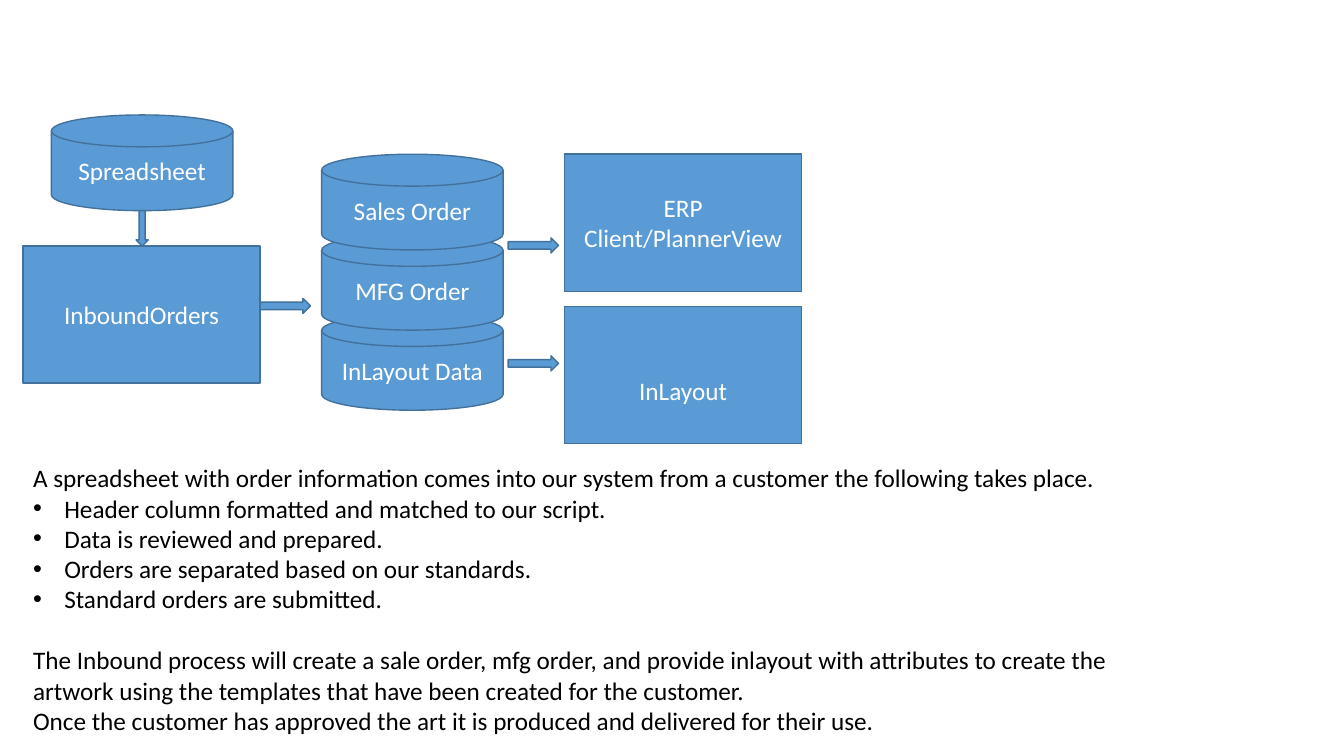
from pptx import Presentation
from pptx.dml.color import RGBColor
from pptx.enum import shapes, text
from pptx.oxml import parse_xml
from pptx.oxml.ns import nsdecls
from pptx.util import Inches, Pt

DISK = shapes.MSO_SHAPE.FLOWCHART_MAGNETIC_DISK
PROCESS = shapes.MSO_SHAPE.FLOWCHART_PROCESS
RIGHT = shapes.MSO_SHAPE.RIGHT_ARROW
DOWN = shapes.MSO_SHAPE.DOWN_ARROW

STORE_SIZE = (1.8, 0.95)
STEP_SIZE = (2.35, 1.36)
RIGHT_SIZE = (0.5, 0.15)

INTRO = ("A spreadsheet with order information comes into our system "
         "from a customer the following takes place.")
STEPS = ["Header column formatted and matched to our script.",
         "Data is reviewed and prepared.",
         "Orders are separated based on our standards.",
         "Standard orders are submitted."]
OUTCOME = ["The Inbound process will create a sale order, mfg order, and provide "
           "inlayout with attributes to create the artwork using the templates "
           "that have been created for the customer.",
           "Once the customer has approved the art it is produced and delivered "
           "for their use."]


def rgb(value):
    """Turn a hex string into a colour."""
    return RGBColor.from_string(value)


def style(paragraph, color):
    """Give a paragraph the common font in the given colour."""
    for run in paragraph.runs:
        run.font.name = "Calibri"
        run.font.size = Pt(18)
        run.font.color.rgb = rgb(color)


def add_block(slide, kind, left, top, size, label=""):
    """Add a blue flowchart shape or block arrow with a centred label."""
    block = slide.shapes.add_shape(kind, *map(Inches, (left, top, *size)))
    block.shadow.inherit = False
    block.fill.solid()
    block.fill.fore_color.rgb = rgb("5B9BD5")
    block.line.color.rgb = rgb("42719C")
    block.line.width = Pt(1)
    frame = block.text_frame
    frame.word_wrap = True
    frame.vertical_anchor = text.MSO_ANCHOR.MIDDLE
    frame.text = label
    for paragraph in frame.paragraphs:
        paragraph.alignment = text.PP_ALIGN.CENTER
        style(paragraph, "FFFFFF")
    return block


def add_bullet(paragraph):
    """Give a paragraph a round bullet and a hanging indent."""
    properties = paragraph._p.get_or_add_pPr()
    properties.set("marL", str(Inches(0.31)))
    properties.set("indent", str(Inches(-0.31)))
    properties.append(parse_xml(f'<a:buFont {nsdecls("a")} typeface="Arial"/>'))
    properties.append(parse_xml(f'<a:buChar {nsdecls("a")} char="•"/>'))


def add_description(slide):
    """Add the process description below the diagram."""
    box = slide.shapes.add_textbox(*map(Inches, (0.23, 4.54, 11.64, 2.83)))
    frame = box.text_frame
    frame.word_wrap = True
    frame.text = "\n".join([INTRO, *STEPS, *OUTCOME])
    paragraphs = frame.paragraphs
    for step in paragraphs[1:1 + len(STEPS)]:
        add_bullet(step)
    paragraphs[1 + len(STEPS)].space_before = Pt(22)
    for paragraph in paragraphs:
        style(paragraph, "000000")


def main():
    """Build the order flow slide."""
    deck = Presentation()
    deck.slide_width, deck.slide_height = Inches(13.33), Inches(7.5)
    slide = deck.slides.add_slide(deck.slide_layouts[6])

    add_block(slide, DISK, 0.51, 1.14, STORE_SIZE, "Spreadsheet")
    add_block(slide, PROCESS, 0.23, 2.44, STEP_SIZE, "InboundOrders")
    for level, store in enumerate(["InLayout Data", "MFG Order", "Sales Order"]):
        add_block(slide, DISK, 3.19, 3.12 - 0.795 * level, STORE_SIZE, store)

    add_block(slide, DOWN, 1.35, 2.09, (0.12, 0.35))
    add_block(slide, RIGHT, 2.58, 2.96, RIGHT_SIZE)
    add_block(slide, PROCESS, 5.6, 1.53, STEP_SIZE, "ERP\nClient/PlannerView")
    layout_tool = add_block(slide, PROCESS, 5.6, 3.04, STEP_SIZE, "InLayout")
    layout_tool.text_frame.margin_top = Inches(0.35)
    for top in (2.36, 3.53):
        add_block(slide, RIGHT, 5.04, top, RIGHT_SIZE)

    add_description(slide)
    deck.save("out.pptx")


if __name__ == "__main__":
    main()
